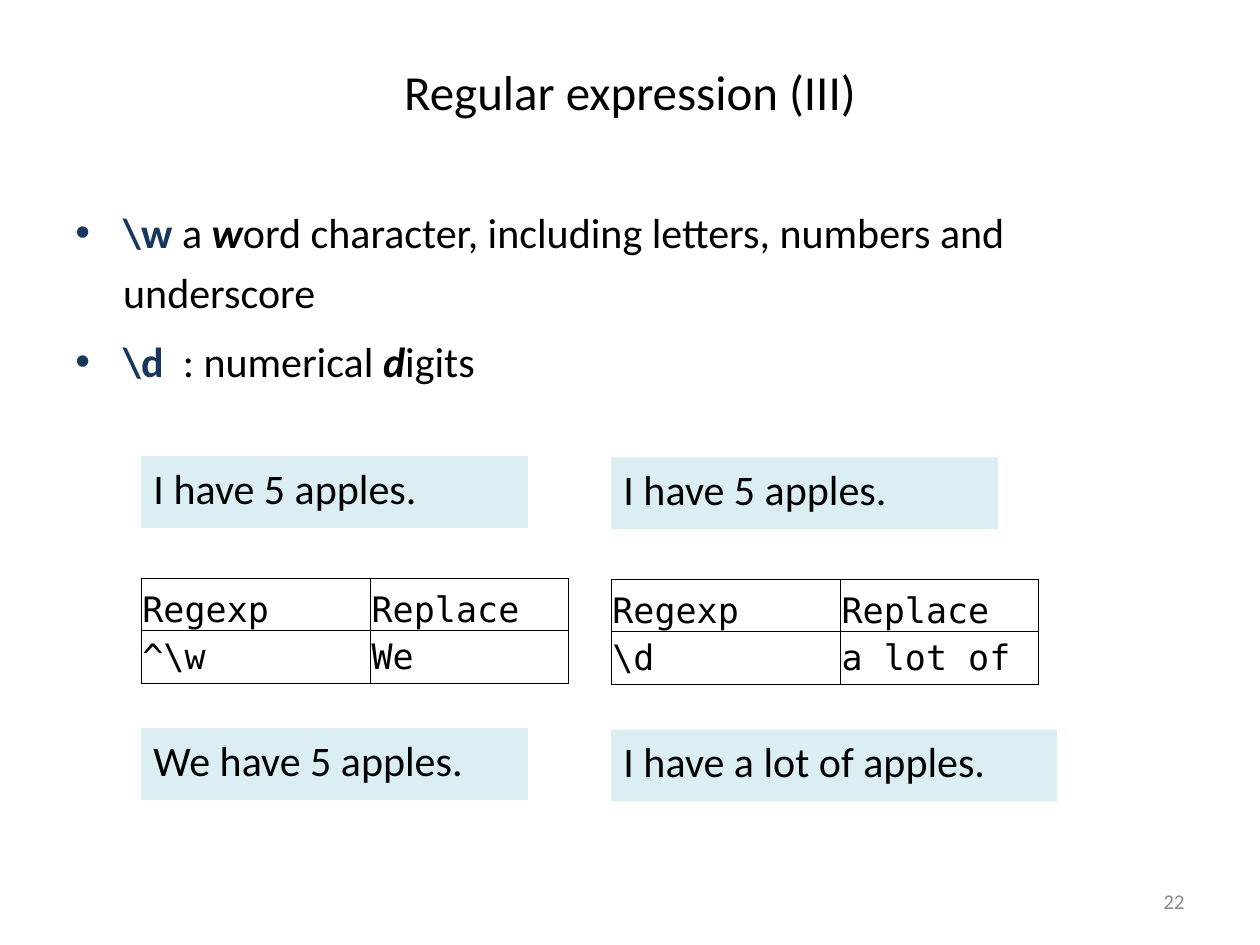
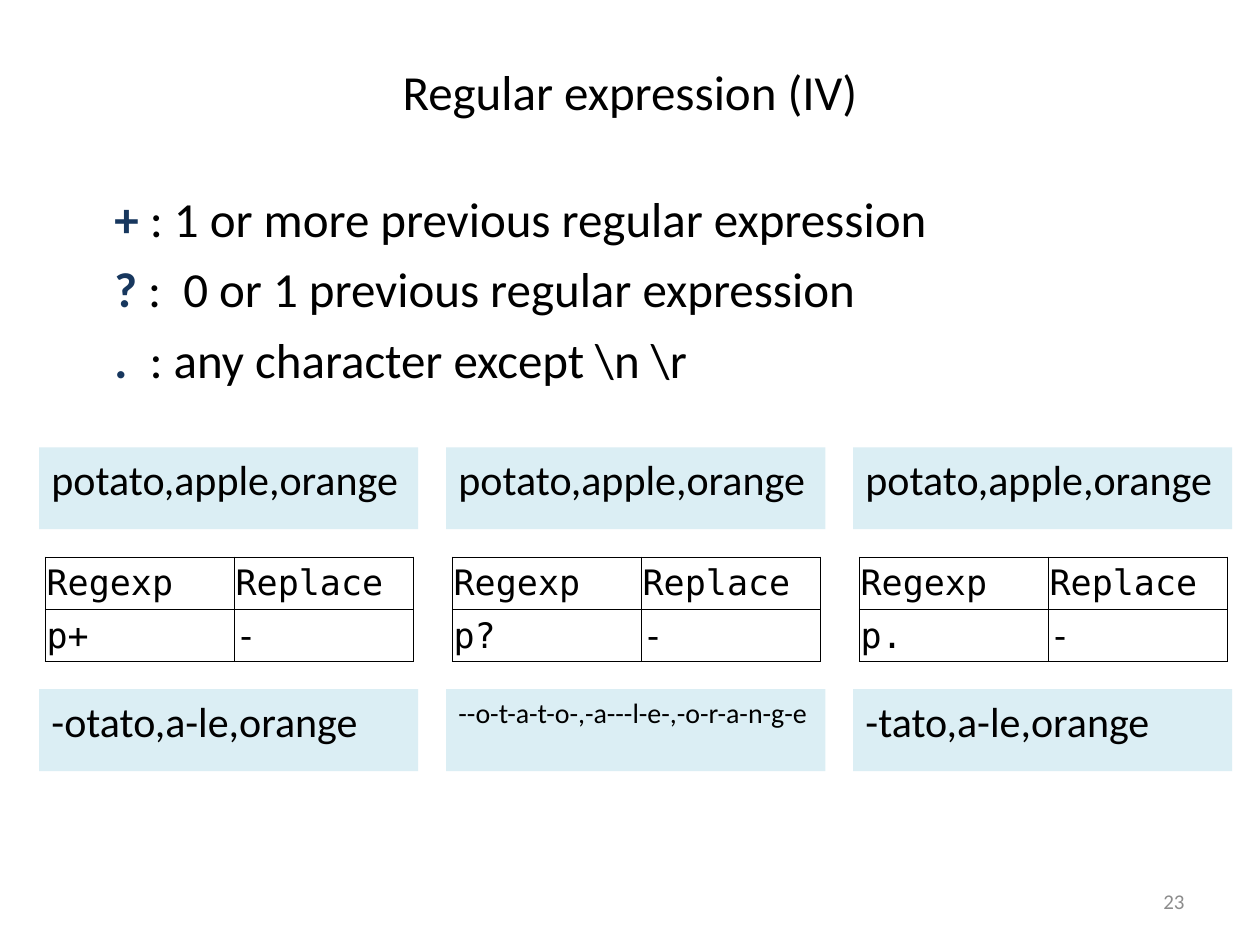
from lxml import etree
from pptx import Presentation
from pptx.dml.color import RGBColor
from pptx.enum.shapes import MSO_SHAPE
from pptx.enum.text import MSO_ANCHOR, PP_ALIGN
from pptx.oxml.ns import qn
from pptx.util import Inches, Pt

RECTANGLE = MSO_SHAPE.RECTANGLE
TOP, MIDDLE, BOTTOM = MSO_ANCHOR.TOP, MSO_ANCHOR.MIDDLE, MSO_ANCHOR.BOTTOM
LEFT, CENTER, RIGHT = PP_ALIGN.LEFT, PP_ALIGN.CENTER, PP_ALIGN.RIGHT
TITLE_ONLY = 5

COLORS = {"text": "000000", "symbol": "17375E", "sample": "DBEEF4", "number": "8C8C8C"}
BODY_FONT, CODE_FONT = "Calibri", "DejaVu Sans Mono"

PLAIN = {}
SYMBOL = {"color": "symbol", "bold": True}
INITIAL = {"bold": True, "italic": True}


class Deck:
    def __init__(self):
        self.presentation = Presentation()
        self.presentation.slide_width = Inches(10)
        self.presentation.slide_height = Inches(7.5)
        self.slide = None

    def start_slide(self, title, number):
        layout = self.presentation.slide_layouts[TITLE_ONLY]
        self.slide = self.presentation.slides.add_slide(layout)
        heading = self.slide.shapes.title
        heading.left, heading.top, heading.width, heading.height = map(Inches, (0.5, 0.3, 9, 0.85))
        self.fill_frame(heading.text_frame, [[(title, PLAIN)]], 28, MIDDLE, {"alignment": CENTER})
        self.text([[(str(number), {"color": "number"})]], (7.17, 6.95, 2.33, 0.4), 12,
                  MIDDLE, {"alignment": RIGHT})

    def add_runs(self, paragraph, runs, size, font=BODY_FONT):
        for words, style in runs:
            run = paragraph.add_run()
            run.text = words
            values = {"name": font, "size": Pt(size), "bold": False, "italic": False, **style}
            run.font.color.rgb = RGBColor.from_string(COLORS[values.pop("color", "text")])
            for key, value in values.items():
                setattr(run.font, key, value)

    def fill_frame(self, frame, paragraphs, size, anchor=TOP, layout=PLAIN, bulleted=False):
        frame.word_wrap = True
        frame.vertical_anchor = anchor
        for index, runs in enumerate(paragraphs):
            paragraph = frame.add_paragraph() if index else frame.paragraphs[0]
            if bulleted:
                self.bullet(paragraph)
                if index:
                    paragraph.space_before = Pt(size * 0.2)
            for key, value in layout.items():
                setattr(paragraph, key, value)
            self.add_runs(paragraph, runs, size)

    def bullet(self, paragraph):
        properties = paragraph._p.get_or_add_pPr()
        properties.set("marL", str(Inches(0.38)))
        properties.set("indent", str(Inches(-0.38)))
        etree.SubElement(properties, qn("a:buFont"), typeface="Arial")
        etree.SubElement(properties, qn("a:buChar"), char="•")

    def text(self, paragraphs, place, size, anchor=TOP, layout=PLAIN, bulleted=False):
        box = self.slide.shapes.add_textbox(*map(Inches, place))
        self.fill_frame(box.text_frame, paragraphs, size, anchor, layout, bulleted)

    def sample(self, words, place, size=24):
        panel = self.slide.shapes.add_shape(RECTANGLE, *map(Inches, place))
        panel.shadow.inherit = False
        panel.fill.solid()
        panel.fill.fore_color.rgb = RGBColor.from_string(COLORS["sample"])
        panel.line.fill.background()
        self.fill_frame(panel.text_frame, [[(words, PLAIN)]], size, layout={"alignment": LEFT})

    def replacement_table(self, pattern, replacement, left, top, widths, header_anchor):
        rows = [("Regexp", "Replace"), (pattern, replacement)]
        place = map(Inches, (left, top, sum(widths), 0.83))
        table = self.slide.shapes.add_table(len(rows), len(widths), *place).table
        table.first_row = table.horz_banding = False
        for column, width in zip(table.columns, widths):
            column.width = Inches(width)
        for row_index, row in enumerate(rows):
            for column_index, words in enumerate(row):
                cell = table.cell(row_index, column_index)
                values = {"margin_left": Inches(0.01), "margin_right": Inches(0.01),
                          "margin_top": Inches(0.01), "margin_bottom": 0,
                          "vertical_anchor": MIDDLE if row_index else header_anchor}
                for key, value in values.items():
                    setattr(cell, key, value)
                self.border(cell)
                cell.fill.background()
                self.add_runs(cell.text_frame.paragraphs[0], [(words, PLAIN)], 20, CODE_FONT)

    def border(self, cell):
        properties = cell._tc.get_or_add_tcPr()
        for side in ("lnL", "lnR", "lnT", "lnB"):
            edge = etree.SubElement(properties, qn(f"a:{side}"), w=str(Pt(0.5)))
            fill = etree.SubElement(edge, qn("a:solidFill"))
            etree.SubElement(fill, qn("a:srgbClr"), val=COLORS["text"])


def character_classes(deck):
    deck.start_slide("Regular expression (III)", 22)
    classes = [
        [("\\w ", SYMBOL), ("a ", PLAIN), ("w", INITIAL),
         ("ord character, including letters, numbers and underscore", PLAIN)],
        [("\\d", SYMBOL), ("  : numerical ", PLAIN), ("d", INITIAL), ("igits", PLAIN)],
    ]
    deck.text(classes, (0.5, 1.51, 9, 2.11), 24, layout={"line_spacing": 1.2}, bulleted=True)
    examples = [
        (1.12, 3.62, "^\\w", "We", "We have 5 apples.", 3.07),
        (4.85, 3.63, "\\d", "a lot of", "I have a lot of apples.", 3.54),
    ]
    for left, top, pattern, replacement, result, result_width in examples:
        deck.sample("I have 5 apples.", (left, top, 3.07, 0.57))
        deck.replacement_table(pattern, replacement, left, top + 0.97, (1.82, 1.57), BOTTOM)
        deck.sample(result, (left, top + 2.16, result_width, 0.57))


def quantifiers(deck):
    deck.start_slide("Regular expression (IV)", 23)
    meanings = [
        ("+", " : 1 or more previous regular expression"),
        ("?", " :  0 or 1 previous regular expression"),
        (".", "  : any character except \\n \\r"),
    ]
    lines = [[(symbol, SYMBOL), (meaning, PLAIN)] for symbol, meaning in meanings]
    deck.text(lines, (0.81, 1.35, 8.44, 1.78), 28, layout={"line_spacing": 1.2})
    examples = [
        ("p+", "-otato,a-le,orange", 24),
        ("p?", "--o-t-a-t-o-,-a---l-e-,-o-r-a-n-g-e", 16),
        ("p.", "-tato,a-le,orange", 24),
    ]
    for index, (pattern, result, size) in enumerate(examples):
        left = 0.31 + 3.23 * index
        deck.sample("potato,apple,orange", (left, 3.55, 3.01, 0.65))
        deck.replacement_table(pattern, "-", left + 0.05, 4.42, (1.5, 1.42), MIDDLE)
        deck.sample(result, (left, 5.47, 3.01, 0.65), size)


def main():
    deck = Deck()
    character_classes(deck)
    quantifiers(deck)
    deck.presentation.save("out.pptx")


if __name__ == "__main__":
    main()
